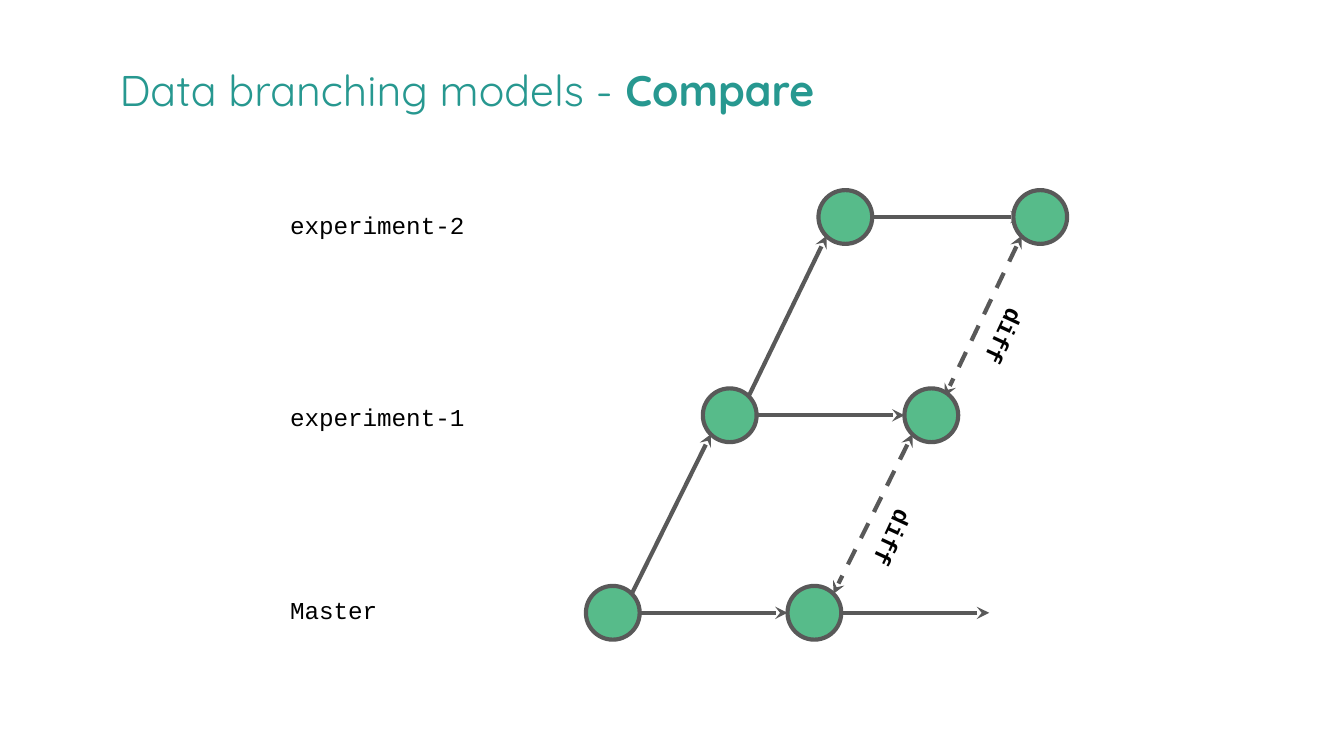
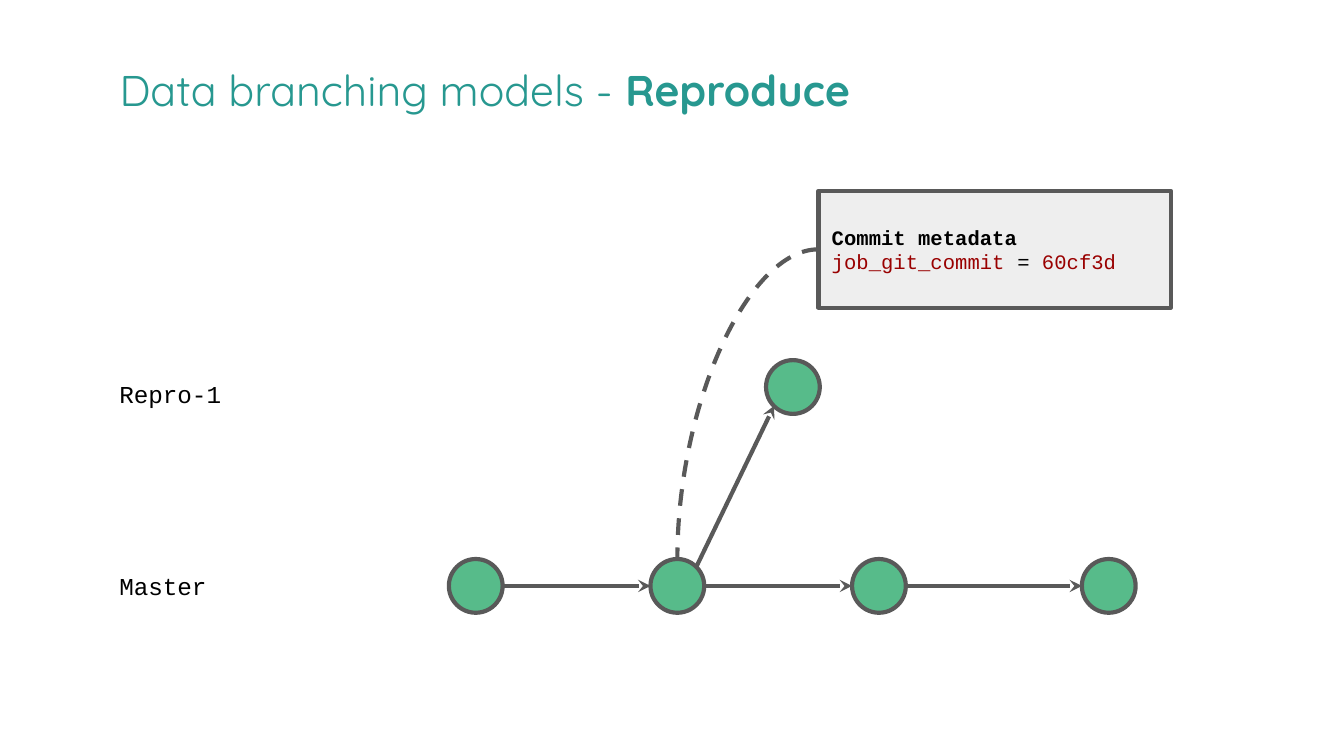
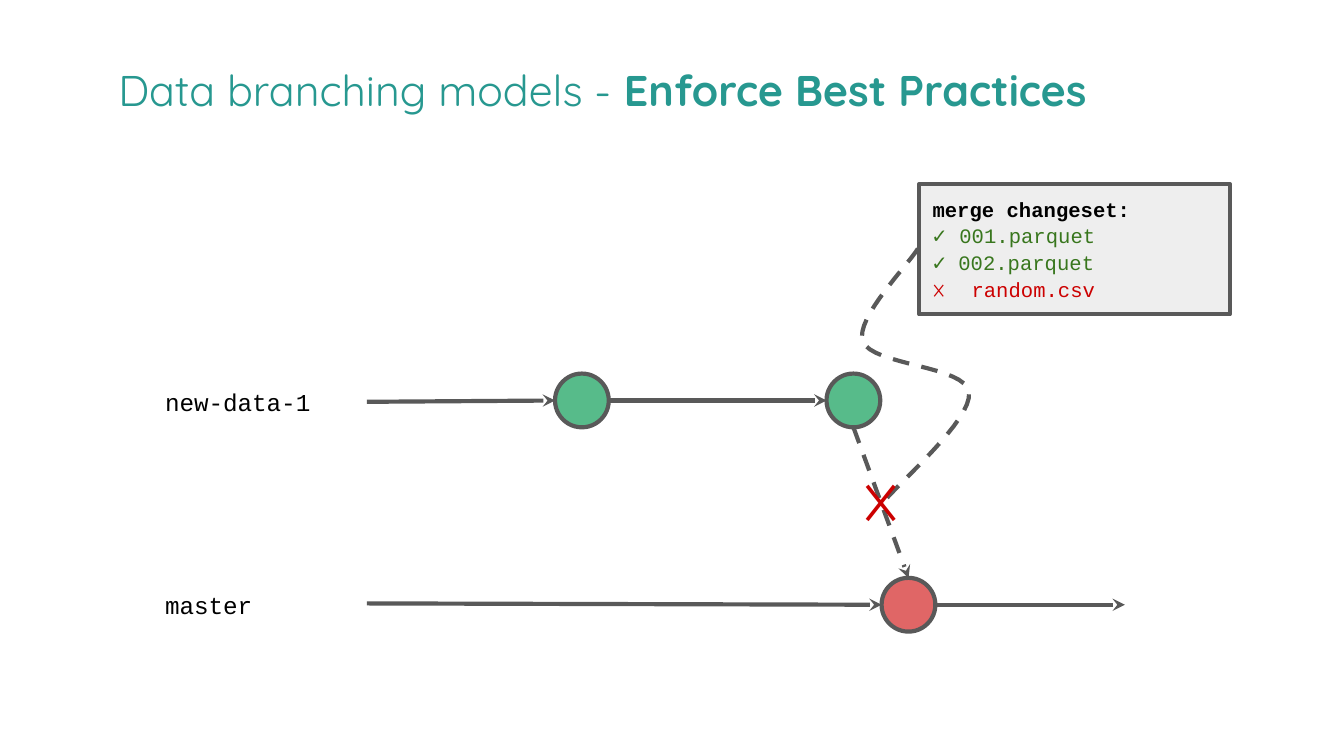
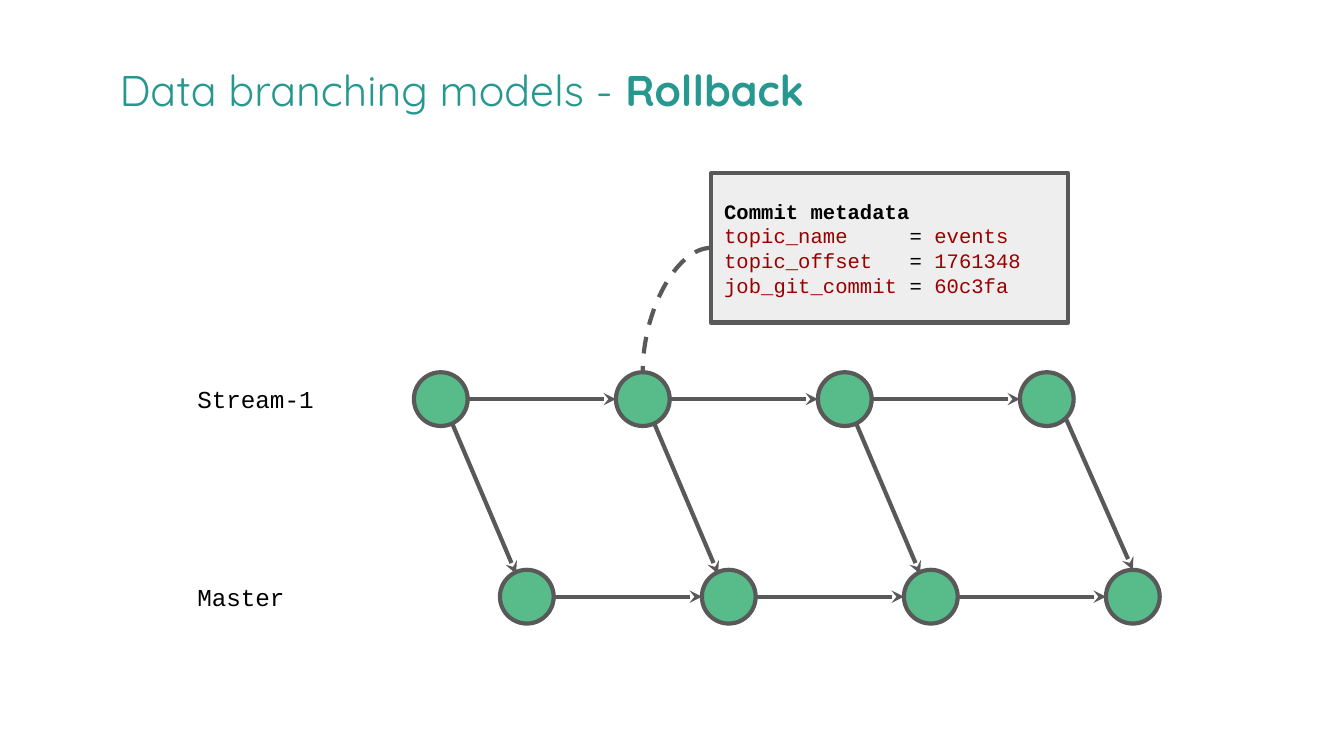
from lxml import etree
from pptx import Presentation
from pptx import util as u
from pptx.dml.color import RGBColor
from pptx.enum import dml, shapes, text
from pptx.oxml.ns import qn

# Shared look
TEAL = RGBColor(0x27, 0x98, 0x90)
GREEN = RGBColor(0x57, 0xBB, 0x8A)
CORAL = RGBColor(0xE0, 0x66, 0x66)
GREY = RGBColor(0x59, 0x59, 0x59)
PALE = RGBColor(0xEE, 0xEE, 0xEE)
INK = RGBColor(0, 0, 0)
MAROON = RGBColor(0x99, 0, 0)
PASS = RGBColor(0x38, 0x76, 0x1D)
FAIL = RGBColor(0xCC, 0, 0)
HEADING, CODE = "Quicksand", "Courier New"

deck = Presentation()
deck.slide_width = u.Inches(10)
deck.slide_height = deck.slide_width * 9 // 16
CELL = deck.slide_width // 100  # square grid, 100 columns wide
RADIUS = 2  # of a commit, in cells

# Where a link leaves or meets a commit, in cells from its centre
SIDES = {
    "N": (0, -RADIUS), "S": (0, RADIUS), "W": (-RADIUS, 0), "E": (RADIUS, 0),
    "NE": (1.4, -1.4), "SW": (-1.4, 1.4), "SE": (1.4, 1.4),
    "NNE": (1, -1.4), "NNW": (-0.8, -1.7), "SSE": (0.8, 1.7),
    "inside W": (-1.3, 0), "centre": (0, 0),
}

# Link styles: dashed, arrowheads
ARROW = (False, ["tailEnd"])
MERGE = (True, ["tailEnd"])
DIFF = (True, ["headEnd", "tailEnd"])


def write(frame, paragraphs, size, font=CODE, align=text.PP_ALIGN.LEFT,
          margin=CELL, anchor=text.MSO_ANCHOR.MIDDLE, spacing=None, tab=None):
    """Fill a text frame; a run is (words, colour, bold[, size])."""
    frame.word_wrap = True
    frame.auto_size = text.MSO_AUTO_SIZE.NONE
    frame.vertical_anchor = anchor
    frame.margin_left = frame.margin_right = margin
    frame.margin_top = frame.margin_bottom = margin
    for i, runs in enumerate(paragraphs):
        para = frame.add_paragraph() if i else frame.paragraphs[0]
        para.alignment = align
        if spacing:
            para.line_spacing = spacing
        if tab:
            stops = etree.SubElement(para._p.get_or_add_pPr(), qn("a:tabLst"))
            etree.SubElement(stops, qn("a:tab"), pos=str(int(tab * CELL)), algn="l")
        for words, colour, bold, *own_size in runs:
            run = para.add_run()
            run.text = words
            run.font.name = font
            run.font.size = u.Pt(own_size[0] if own_size else size)
            run.font.bold = bold
            run.font.color.rgb = colour


def stroke(item, dashed=False, heads=()):
    """Give a shape or connector the shared outline and no shadow."""
    item.line.color.rgb = GREY
    item.line.width = u.Pt(2.25)
    if dashed:
        item.line.dash_style = dml.MSO_LINE.DASH
    properties = item._element.spPr
    for head in heads:
        etree.SubElement(properties.find(qn("a:ln")), qn(f"a:{head}"), type="stealth")
    etree.SubElement(properties, qn("a:effectLst"))


# Content of the diagrams, in cells; commits and open ends are centres
compare = dict(
    topic="Compare", heading=(8.9, 68.5),
    lanes=[("Master", 20.6, 45.4, 23.1), ("experiment-1", 20.6, 31, 23.1),
           ("experiment-2", 20.6, 16.7, 23.1)],
    commits={"m1": (45.6, 45.6), "m2": (60.6, 45.6), "a1": (54.3, 30.9),
             "a2": (69.3, 30.9), "b1": (62.9, 16.15), "b2": (77.4, 16.15)},
    open_ends={"next": (73.6, 45.6)},
    links=[("m1", "E", "m2", "W", ARROW), ("m2", "E", "next", "centre", ARROW),
           ("a1", "E", "a2", "W", ARROW), ("b1", "E", "b2", "inside W", ARROW),
           ("m1", "NE", "a1", "SW", ARROW), ("a1", "NE", "b1", "SW", ARROW),
           ("a2", "SW", "m2", "NE", DIFF), ("b2", "SW", "a2", "NNE", DIFF)],
)
reproduce = dict(
    topic="Reproduce", heading=(8.9, 68.5),
    lanes=[("Master", 7.9, 43.6, 23.1), ("Repro-1", 7.9, 29.3, 23.1)],
    commits={"m1": (35.4, 43.6), "m2": (50.4, 43.6), "m3": (65.4, 43.6),
             "m4": (82.5, 43.6), "r1": (59, 28.8)},
    links=[(f"m{k}", "E", f"m{k + 1}", "W", ARROW) for k in (1, 2, 3)]
    + [("m2", "NE", "r1", "SW", ARROW)],
    note=(60.9, 14.2, 26.2, 8.7), described="m2",
    note_text=[[("Commit metadata", INK, True)],
               [("job_git_commit ", MAROON, False), ("= ", INK, False),
                ("60cf3d", MAROON, False)]],
)
enforce = dict(
    topic="Enforce Best Practices", heading=(8.8, 83.1),
    lanes=[("new-data-1", 11.3, 29.9, 15), ("master", 11.3, 45, 17.1)],
    commits={"d1": (43.3, 29.8), "d2": (63.5, 29.8), "bad": (67.6, 45)},
    open_ends={"data": (27.3, 29.9), "master": (27.3, 44.9), "next": (83.7, 45)},
    links=[("data", "centre", "d1", "W", ARROW), ("d1", "E", "d2", "W", ARROW),
           ("master", "centre", "bad", "W", ARROW),
           ("bad", "E", "next", "centre", ARROW), ("d2", "S", "bad", "N", MERGE)],
    note=(68.4, 13.7, 23.1, 9.7), tab=2.9,
    note_text=[[("merge changeset:", INK, True)],
               [("✓ ", PASS, True, 12), ("001.parquet", PASS, False)],
               [("✓", PASS, True, 12), (" 002.parquet", PASS, False)],
               [("𐄂", FAIL, True, 12), ("\trandom.csv", FAIL, False)]],
)
metadata = [("topic_name", "events"), ("topic_offset", "1761348"),
            ("job_git_commit", "60c3fa")]
rollback = dict(
    topic="Rollback", heading=(8.9, 88.3),
    lanes=[("Master", 13.7, 44.4, 18.4), ("Stream-1", 13.7, 29.7, 15.2)],
    commits={f"{lane}{k}": (x + 15.03 * k, y) for k in range(4)
             for lane, x, y in (("s", 32.8, 29.7), ("m", 39.2, 44.4))},
    links=[(f"{lane}{k}", "E", f"{lane}{k + 1}", "W", ARROW)
           for lane in "sm" for k in range(3)]
    + [(f"s{k}", "SSE", f"m{k}", "NNW", ARROW) for k in range(3)]
    + [("s3", "SE", "m3", "N", ARROW)],
    note=(52.9, 12.9, 26.6, 11.1), described="s1", tab=13.8,
    note_text=[[("Commit metadata", INK, True)]]
    + [[(key, MAROON, False), ("\t= ", INK, False), (value, MAROON, False)]
       for key, value in metadata],
)

for model in (compare, reproduce, enforce, rollback):
    slide = deck.slides.add_slide(deck.slide_layouts[5])

    # Title
    title = slide.shapes.title
    left, width = model["heading"]
    title.left, title.top = int(left * CELL), 5 * CELL
    title.width, title.height = int(width * CELL), int(3.6 * CELL)
    write(title.text_frame, [[("Data branching models - ", TEAL, False),
                              (model["topic"], TEAL, True)]], 23, HEADING,
          margin=0, anchor=text.MSO_ANCHOR.BOTTOM, spacing=0.9)

    # Links between commits
    places = {**model["commits"], **model.get("open_ends", {})}
    for start, start_side, end, end_side, (dashed, heads) in model["links"]:
        ends = [int((centre + shift) * CELL)
                for place, side in ((start, start_side), (end, end_side))
                for centre, shift in zip(places[place], SIDES[side])]
        link = slide.shapes.add_connector(shapes.MSO_CONNECTOR.STRAIGHT, *ends)
        stroke(link, dashed, heads)

    # Commits
    for name, (x, y) in model["commits"].items():
        commit = slide.shapes.add_shape(
            shapes.MSO_SHAPE.OVAL, int((x - RADIUS) * CELL), int((y - RADIUS) * CELL),
            2 * RADIUS * CELL, 2 * RADIUS * CELL)
        commit.fill.solid()
        commit.fill.fore_color.rgb = CORAL if name == "bad" else GREEN
        stroke(commit)

    # Branch names
    for branch, x, y, width in model["lanes"]:
        lane = slide.shapes.add_textbox(int(x * CELL), int((y - 2.3) * CELL),
                                        int(width * CELL), int(4.6 * CELL))
        write(lane.text_frame, [[(branch, INK, False)]], 13)

    # Note on a commit or merge
    if "note" in model:
        x, y, width, height = model["note"]
        note = slide.shapes.add_shape(
            shapes.MSO_SHAPE.RECTANGLE, *(int(v * CELL) for v in model["note"]))
        note.fill.solid()
        note.fill.fore_color.rgb = PALE
        stroke(note)
        write(note.text_frame, model["note_text"], 11, tab=model.get("tab"))
    if "described" in model:
        commit_x, commit_y = places[model["described"]]
        pointer = slide.shapes.add_connector(
            shapes.MSO_CONNECTOR.CURVE, int(x * CELL), int((y + height / 2) * CELL),
            int(commit_x * CELL), int((commit_y - RADIUS) * CELL))
        pointer._element.spPr.find(qn("a:prstGeom")).set("prst", "curvedConnector2")
        stroke(pointer, dashed=True)

# Compare: labels along the dashed links
for x, y in ((69.1, 22.8), (60.8, 37.8)):
    diff = deck.slides[0].shapes.add_textbox(int(x * CELL), int(y * CELL),
                                             int(11.3 * CELL), int(4.5 * CELL))
    diff.rotation = 114.9
    write(diff.text_frame, [[("diff", INK, True)]], 13, align=text.PP_ALIGN.CENTER)

# Enforce: winding pointer from the note to the blocked merge
bends = [(68.3, 18.5), (67.6, 19.7), (63.6, 23.7), (64.2, 25.4), (64.9, 27.2),
         (71.9, 27.2), (72.1, 29.2), (72.4, 31.2), (66.8, 36), (65.7, 37.4)]
STEPS = 16
curve = []
for first in range(0, len(bends) - 1, 3):
    for step in range(1, STEPS + 1):
        t = step / STEPS
        weights = ((1 - t) ** 3, 3 * t * (1 - t) ** 2, 3 * t * t * (1 - t), t ** 3)
        curve.append(tuple(
            sum(w * bend[axis] for w, bend in zip(weights, bends[first:first + 4])) * CELL
            for axis in (0, 1)))
outline = deck.slides[2].shapes.build_freeform(bends[0][0] * CELL, bends[0][1] * CELL)
outline.add_line_segments(curve, close=False)
winding = outline.convert_to_shape()
winding.fill.background()
stroke(winding, dashed=True)

# Enforce: cross on the blocked merge
cross = deck.slides[2].shapes.add_textbox(int(62.7 * CELL), int(32.9 * CELL),
                                          int(5.7 * CELL), int(7.5 * CELL))
write(cross.text_frame, [[("𐄂", FAIL, True)]], 36, align=text.PP_ALIGN.CENTER,
      anchor=text.MSO_ANCHOR.TOP)

deck.save("out.pptx")
